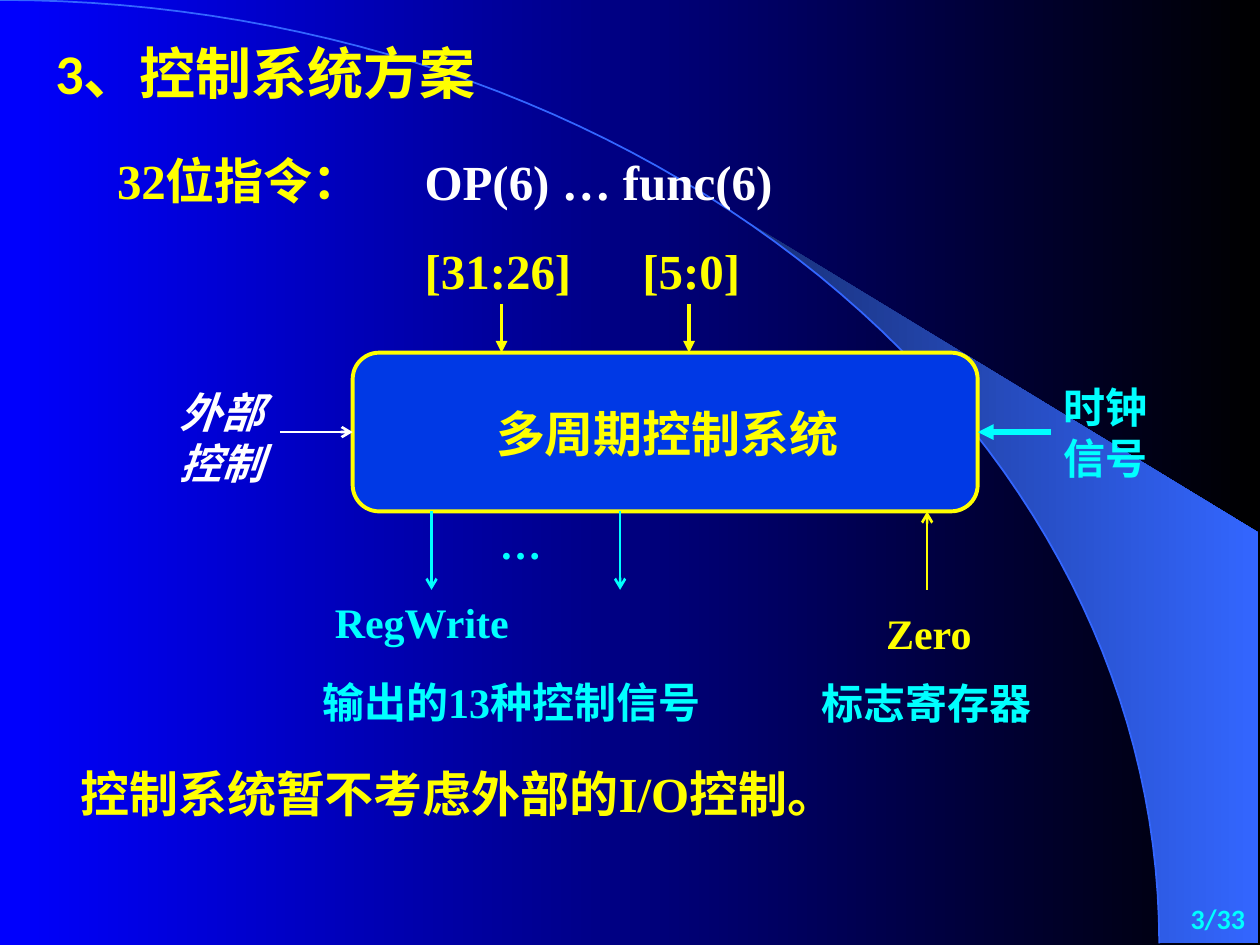
from dataclasses import dataclass
from math import asin, cos, pi, sin

from lxml.etree import SubElement
from pptx import Presentation
from pptx.dml.color import RGBColor
from pptx.enum.shapes import MSO_CONNECTOR, MSO_SHAPE
from pptx.enum.text import MSO_ANCHOR, MSO_AUTO_SIZE, PP_ALIGN
from pptx.oxml.ns import qn
from pptx.util import Cm, Pt


@dataclass(frozen=True)
class Theme:
    yellow: str = "FFFF00"
    cyan: str = "00FFFF"
    white: str = "FFFFFF"
    box_blue: str = "0039E5"
    arc_blue: str = "3366FF"
    background: tuple = ("0000FF", "000000")
    wedge: tuple = ("182F76", "3366FF")
    serif: str = "Times New Roman"
    sans: str = "Calibri"
    chinese: str = "Noto Sans CJK SC"
    title_size: int = 32
    body_size: int = 28
    label_size: int = 24
    number_size: int = 16


class SlideBuilder:
    """Holds the theme and the current slide; one method per kind of element."""

    def __init__(self, slide, theme):
        self.slide = slide
        self.theme = theme

    def gradient(self, fill, colors):
        fill.gradient()
        fill.gradient_angle = 0
        for stop, color in zip(fill.gradient_stops, colors):
            stop.color.rgb = RGBColor.from_string(color)

    def format_text(self, shape, text, color, size, font=None,
                    align=PP_ALIGN.LEFT, wrap=False, anchor=MSO_ANCHOR.TOP,
                    italic=False):
        frame = shape.text_frame
        frame.text = text
        frame_format = {"word_wrap": wrap, "vertical_anchor": anchor,
                        "auto_size": MSO_AUTO_SIZE.NONE}
        for name, value in frame_format.items():
            setattr(frame, name, value)
        run_format = {"name": font or self.theme.serif, "size": Pt(size),
                      "bold": True, "italic": italic}
        for paragraph in frame.paragraphs:
            paragraph.alignment = align
            for run in paragraph.runs:
                for name, value in run_format.items():
                    setattr(run.font, name, value)
                run.font.color.rgb = RGBColor.from_string(color)
        # Chinese characters take their own typeface
        for properties in shape.element.iter(qn("a:rPr")):
            SubElement(properties, qn("a:ea"), typeface=self.theme.chinese)

    def title(self, text, left, top, width, height):
        title = self.slide.shapes.title
        place = {"left": left, "top": top, "width": width, "height": height}
        for name, value in place.items():
            setattr(title, name, Cm(value))
        self.format_text(title, text, self.theme.yellow, self.theme.title_size,
                         self.theme.sans, wrap=True, anchor=MSO_ANCHOR.MIDDLE)
        # Bring the title in front of the decoration
        title.element.getparent().append(title.element)

    def text(self, text, left, top, width, height, color, size, **options):
        box = self.slide.shapes.add_textbox(
            Cm(left), Cm(top), Cm(width), Cm(height))
        self.format_text(box, text, color, size, **options)

    def rounded_box(self, left, top, width, height):
        shape = self.slide.shapes.add_shape(
            MSO_SHAPE.ROUNDED_RECTANGLE,
            Cm(left), Cm(top), Cm(width), Cm(height))
        shape.shadow.inherit = False
        shape.fill.solid()
        shape.fill.fore_color.rgb = RGBColor.from_string(self.theme.box_blue)
        shape.line.color.rgb = RGBColor.from_string(self.theme.yellow)
        shape.line.width = Pt(2.25)
        return shape

    def arrow(self, start, end, color, width, head="arrow", target=None, site=0):
        connector = self.slide.shapes.add_connector(
            MSO_CONNECTOR.STRAIGHT, *(Cm(value) for value in (*start, *end)))
        connector.line.color.rgb = RGBColor.from_string(color)
        connector.line.width = Pt(width)
        properties = connector.element.spPr
        SubElement(properties.find(qn("a:ln")), qn("a:tailEnd"), type=head)
        SubElement(properties, qn("a:effectLst"))
        if target is not None:
            connector.end_connect(target, site)

    def outline(self, points, close):
        corners = [(Cm(x), Cm(y)) for x, y in points]
        builder = self.slide.shapes.build_freeform(*corners[0])
        builder.add_line_segments(corners[1:], close=close)
        shape = builder.convert_to_shape()
        shape.shadow.inherit = False
        return shape


def quarter_arc(radius_x, radius_y, first_angle, steps=60):
    """Points of a quarter ellipse that falls from the top to the right."""
    angles = [first_angle + (pi / 2 - first_angle) * step / steps
              for step in range(steps + 1)]
    return [(radius_x * sin(angle), radius_y * (1 - cos(angle)))
            for angle in angles]


def main():
    theme = Theme()
    presentation = Presentation()
    presentation.slide_width, presentation.slide_height = Cm(25.4), Cm(19.05)
    slide = presentation.slides.add_slide(presentation.slide_layouts[5])
    builder = SlideBuilder(slide, theme)
    yellow, cyan, white = theme.yellow, theme.cyan, theme.white
    body, label = theme.body_size, theme.label_size
    center = PP_ALIGN.CENTER

    # Background with the lit wedge and the arc
    builder.gradient(slide.background.fill, theme.background)
    radius_x, radius_y = 23.37, 19.02
    wedge = builder.outline(
        quarter_arc(radius_x, radius_y, asin(0.64))
        + [(25.37, radius_y), (25.37, 10.74)], close=True)
    builder.gradient(wedge.fill, theme.wedge)
    wedge.line.fill.background()
    arc = builder.outline(quarter_arc(radius_x, radius_y, 0), close=False)
    arc.fill.background()
    arc.line.color.rgb = RGBColor.from_string(theme.arc_blue)
    arc.line.width = Pt(1)

    builder.title("3、控制系统方案", 0.86, 0.76, 17.65, 1.37)

    # Control system box
    left, top, width, height = 7.11, 7.11, 12.6, 3.2
    right, bottom, middle = left + width, top + height, top + height / 2
    system = builder.rounded_box(left, top, width, height)
    builder.text("多周期控制系统", 9.75, 8, 7.42, 1.45, yellow, body)

    # Instruction fields
    for text, x, y, text_width, color in (
            ("32位指令：", 2.11, 2.9, 5.41, yellow),
            ("OP(6) … func(6)", 8.31, 2.92, 7.21, white),
            ("[31:26]", 8.31, 4.72, 3.99, yellow),
            ("[5:0]", 12.7, 4.72, 3.2, yellow)):
        builder.text(text, x, y, text_width, 1.4, color, body)
    for x in (10.11, 13.89):
        builder.arrow((x, 6.12), (x, top), yellow, 2.25, "triangle")

    # Control signals going out and the flag coming in
    arrow_end = 11.89
    for x in (8.7, 12.5):
        builder.arrow((x, bottom), (x, arrow_end), cyan, 1.5)
    builder.arrow((18.69, arrow_end), (18.69, bottom), yellow, 1.5)
    builder.text("RegWrite", 6.5, 11.91, 4.39, 1.4, cyan, label)
    for text, x, y, text_width, color in (
            ("…", 9.3, bottom, 2.39, cyan),
            ("Zero", 17.53, 12.12, 2.39, yellow),
            ("输出的13种控制信号", 6.1, 13.51, 8.41, cyan),
            ("标志寄存器", 16.38, 13.54, 4.6, cyan)):
        builder.text(text, x, y, text_width, 1.4, color, label, align=center)

    # External control and clock at the sides
    builder.arrow((5.64, middle), (left, middle), white, 1.5,
                  target=system, site=1)
    builder.text("外部控制", 2.97, 7.67, 3, 2.29, white, label,
                 font=theme.chinese, align=center, wrap=True, italic=True)
    builder.arrow((21.18, middle), (right, middle), cyan, 3, "triangle",
                  target=system, site=3)
    builder.text("时钟\n信号", 20.68, 7.57, 3.2, 2.39, cyan, label,
                 align=center)

    # Closing remark and page number
    builder.text("控制系统暂不考虑外部的I/O控制。", 1.37, 15.27, 17.53, 1.45,
                 yellow, body, wrap=True)
    builder.text("3/33", 20.07, 18.01, 5.28, 0.99, cyan, theme.number_size,
                 font=theme.sans, align=PP_ALIGN.RIGHT, wrap=True,
                 anchor=MSO_ANCHOR.MIDDLE)

    presentation.save("out.pptx")


if __name__ == "__main__":
    main()
